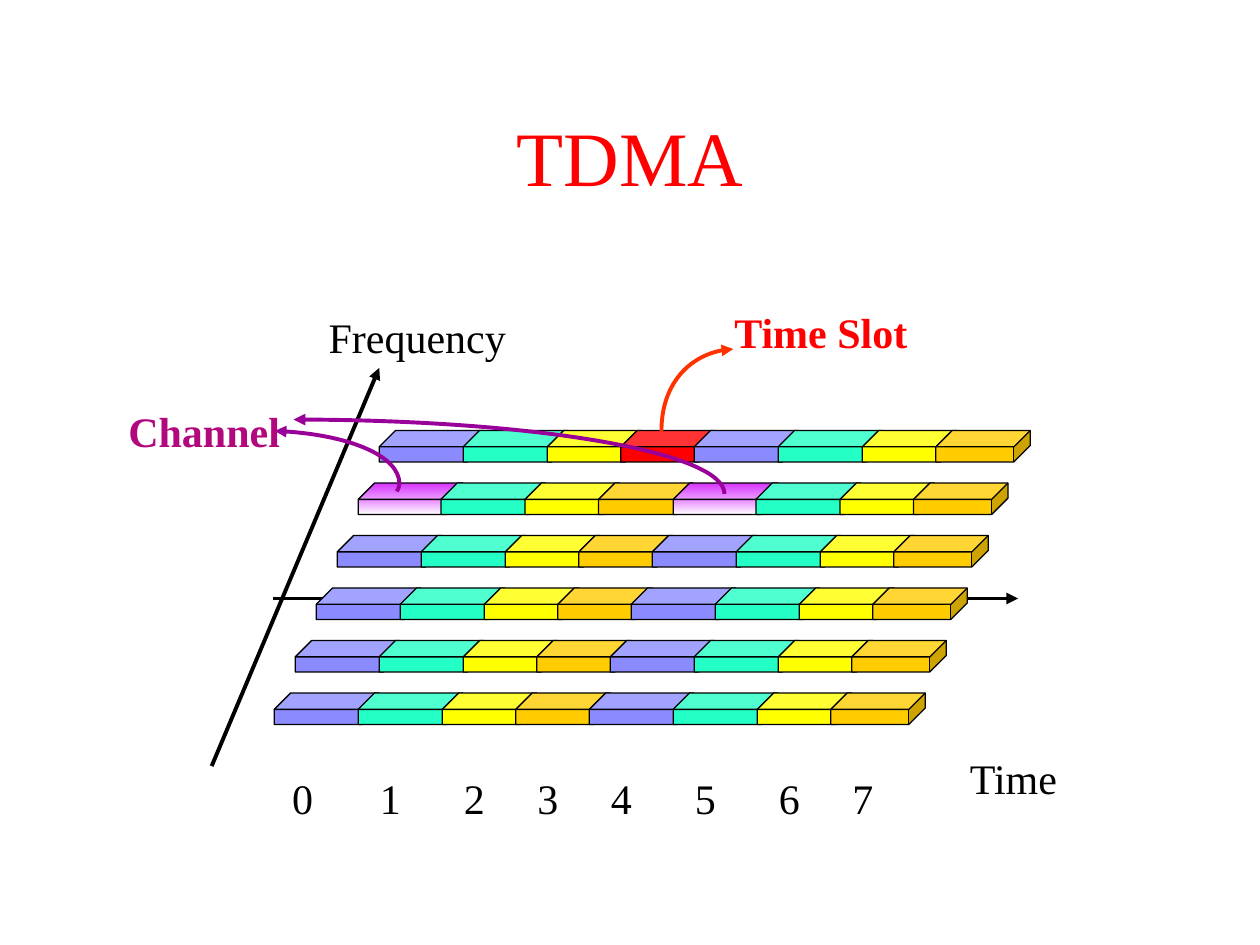
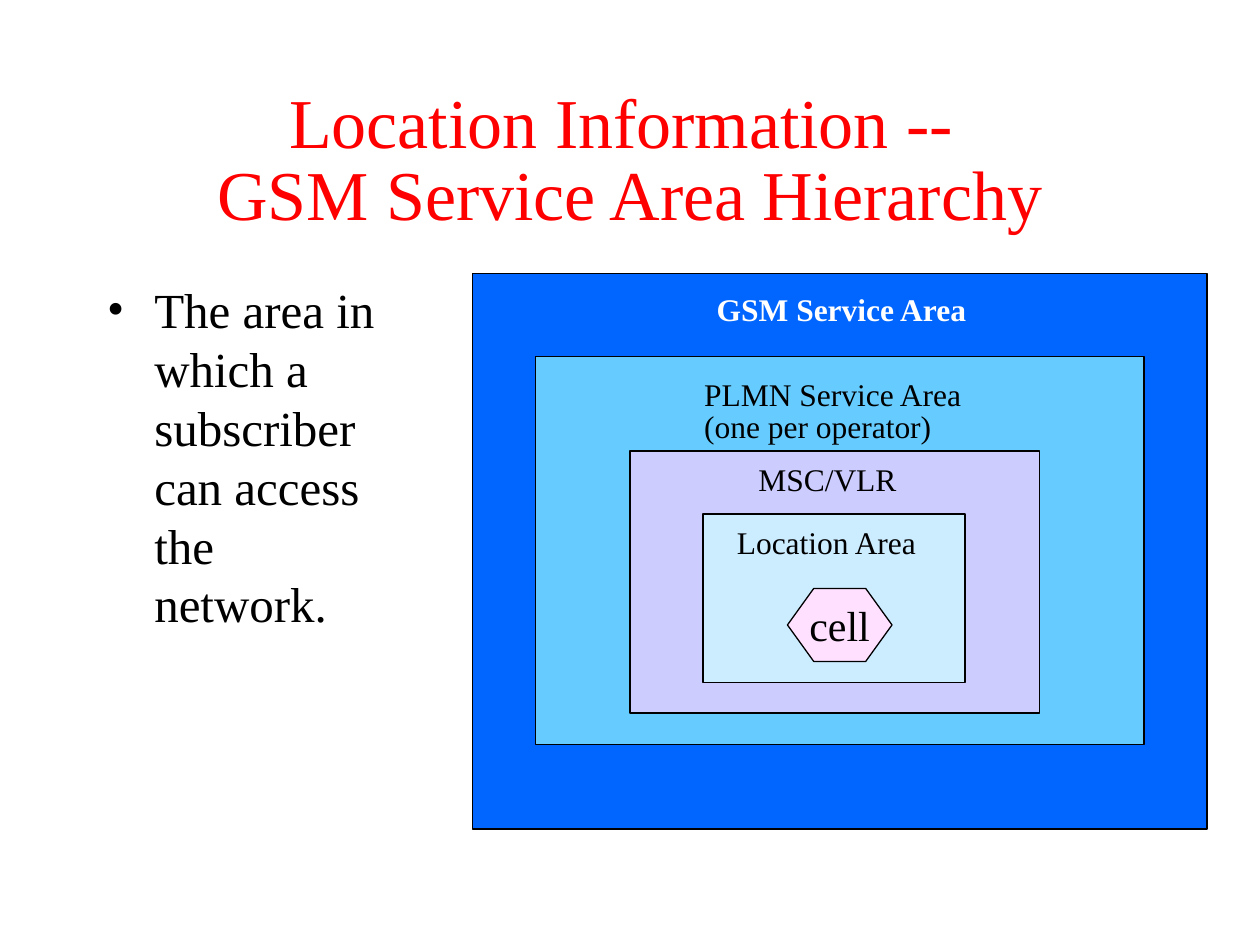
from itertools import accumulate

from lxml import etree
from pptx import Presentation
from pptx import util as u
from pptx.dml.color import RGBColor
from pptx.enum import shapes, text
from pptx.oxml import ns

FONT = "Times New Roman"
HEX = {
    "black": "000000", "white": "FFFFFF", "red": "FF0000",
    "violet": "8B8BFF", "mint": "23FFC5", "yellow": "FFFF00", "amber": "FFCC00",
    "magenta": "CC00FF", "purple": "990099", "plum": "B1097D", "orange": "FF3300",
    "blue": "0066FF", "sky": "66CCFF", "lilac": "CCCCFF", "ice": "CCECFF",
    "pink": "FFE1FF",
}
COLOR = {name: RGBColor.from_string(value) for name, value in HEX.items()}


def write(frame, paragraphs, size, color="black", bold=False):
    """Add the paragraphs run by run; a newline inside one is a line break."""
    for number, wording in enumerate(paragraphs):
        paragraph = frame.add_paragraph() if number else frame.paragraphs[0]
        for row, line in enumerate(wording.split("\n")):
            if row:
                paragraph.add_line_break()
            run = paragraph.add_run()
            run.text = line
            run.font.name = FONT
            run.font.size = u.Pt(size)
            run.font.bold = bold
            run.font.color.rgb = COLOR[color]


def point_arrow(line_shape, color):
    """Colour a line, put an arrowhead at its end and take its shadow away."""
    line_shape.line.color.rgb = COLOR[color]
    line_shape.line.width = u.Pt(2.25)
    properties = line_shape.element.spPr
    outline = properties.find(ns.qn("a:ln"))
    etree.SubElement(outline, ns.qn("a:tailEnd"), type="triangle")
    etree.SubElement(properties, ns.qn("a:effectLst"))


deck = Presentation()
deck.slide_width, deck.slide_height = u.Inches(10), u.Inches(7.5)
tdma = deck.slides.add_slide(deck.slide_layouts[5])
hierarchy = deck.slides.add_slide(deck.slide_layouts[1])

# Titles
for slide, heading, size in [
    (tdma, "TDMA", 44),
    (hierarchy, "Location Information -- \nGSM Service Area Hierarchy", 40),
]:
    title = slide.shapes.title
    title.left, title.top = u.Inches(0.75), u.Inches(0.67)
    title.width, title.height = u.Inches(8.5), u.Inches(1.25)
    title.text_frame.auto_size = text.MSO_AUTO_SIZE.NONE
    title.text_frame.vertical_anchor = text.MSO_ANCHOR.MIDDLE
    write(title.text_frame, [heading], size, "red")
    paragraph = title.text_frame.paragraphs[0]
    paragraph.alignment = text.PP_ALIGN.CENTER
    paragraph.line_spacing = 0.85

# TDMA: time and frequency axes
for ends in [(2.17, 4.75, 8.08, 4.75), (1.68, 6.08, 3.01, 2.92)]:
    axis = tdma.shapes.add_connector(
        shapes.MSO_CONNECTOR.STRAIGHT, *[u.Inches(end) for end in ends])
    point_arrow(axis, "black")

# TDMA: six carriers, each cut into eight time slots
SLOT_COLORS = ["violet", "mint", "yellow", "amber"] * 2
SLOT_STEPS = [8 / 12, 8 / 12, 7 / 12, 7 / 12] * 2
slot_offsets = [0, *accumulate(SLOT_STEPS[:-1])]
marked_slots = {(0, 3): "red", (1, 0): "magenta", (1, 4): "magenta"}
for carrier in range(6):
    for slot, offset in enumerate(slot_offsets):
        color = marked_slots.get((carrier, slot), SLOT_COLORS[slot])
        nudge = -0.01 if carrier == 1 and color != "magenta" else 0
        block = tdma.shapes.add_shape(
            shapes.MSO_SHAPE.CUBE,
            u.Inches(3.01 - carrier / 6 + offset + nudge),
            u.Inches((41 + carrier * 5) / 12),
            u.Inches(0.83 if slot % 4 < 2 else 0.75), u.Inches(0.25))
        block.adjustments[0] = 0.52
        block.shadow.inherit = False
        block.line.color.rgb = COLOR["black"]
        block.line.width = u.Pt(0.75)
        if color == "magenta":
            block.fill.gradient()
            block.fill.gradient_angle = 270
            for stop, shade, place in zip(
                    block.fill.gradient_stops, ["magenta", "white"], [0, 1]):
                stop.color.rgb = COLOR[shade]
                stop.position = place
        else:
            block.fill.solid()
            block.fill.fore_color.rgb = COLOR[color]

# TDMA: curved arrows, each a start point followed by Bézier triples
for color, start, *curve in [
    ("purple", (3.15, 3.9), (3.16, 3.88), (3.17, 3.86), (3.17, 3.84),
     (3.17, 3.62), (2.74, 3.44), (2.18, 3.42)),
    ("orange", (5.25, 3.42), (5.25, 3.06), (5.5, 2.78), (5.82, 2.77)),
    ("purple", (5.75, 3.92), (5.75, 3.59), (4.22, 3.33), (2.33, 3.33)),
]:
    builder = tdma.shapes.build_freeform(*[u.Inches(value) for value in start])
    builder.add_line_segments(
        [(u.Inches(x), u.Inches(y)) for x, y in curve], close=False)
    pointer = builder.convert_to_shape()
    segments = list(pointer.element.iter(ns.qn("a:lnTo")))
    for first in range(0, len(segments), 3):
        bezier = etree.Element(ns.qn("a:cubicBezTo"))
        segments[first].addprevious(bezier)
        for segment in segments[first:first + 3]:
            bezier.append(segment[0])
            segment.getparent().remove(segment)
    pointer.fill.background()
    point_arrow(pointer, color)

# Hierarchy: nested areas
for color, left, top, width, height in [
    ("blue", 3.75, 2.17, 5.83, 4.41),
    ("sky", 4.25, 2.83, 4.83, 3.08),
    ("lilac", 5, 3.58, 3.25, 2.08),
    ("ice", 5.58, 4.08, 2.08, 1.34),
    ("pink", 6.25, 4.67, 0.83, 0.58),
]:
    is_cell = color == "pink"
    area = hierarchy.shapes.add_shape(
        shapes.MSO_SHAPE.HEXAGON if is_cell else shapes.MSO_SHAPE.RECTANGLE,
        u.Inches(left), u.Inches(top), u.Inches(width), u.Inches(height))
    area.shadow.inherit = False
    area.fill.solid()
    area.fill.fore_color.rgb = COLOR[color]
    area.line.color.rgb = COLOR["black"]
    area.line.width = u.Pt(0.75)
    if is_cell:
        area.adjustments[0] = 0.36
        area.text_frame.word_wrap = False
        area.text_frame.vertical_anchor = text.MSO_ANCHOR.MIDDLE
        write(area.text_frame, ["cell"], 24)
        area.text_frame.paragraphs[0].alignment = text.PP_ALIGN.CENTER

# Labels of both slides
slot_numbers = [
    (tdma, [str(slot)], 2.25 + offset if slot else 2.22, 6.08, 0.36, 0.5, 24, "black", False)
    for slot, offset in enumerate(slot_offsets)
]
for slide, lines, left, top, width, height, size, color, bold in [
    (tdma, ["Time"], 7.6, 5.92, 0.9, 0.5, 24, "black", False),
    (tdma, ["Frequency"], 2.51, 2.42, 1.63, 0.5, 24, "black", False),
    *slot_numbers,
    (tdma, ["Channel"], 0.92, 3.17, 1.43, 0.5, 24, "plum", True),
    (tdma, ["Time Slot"], 5.73, 2.38, 1.59, 0.5, 24, "red", True),
    (hierarchy, ["Location Area"], 5.75, 4.1, 1.63, 0.4, 18, "black", False),
    (hierarchy, ["MSC/VLR"], 5.92, 3.6, 1.3, 0.4, 18, "black", False),
    (hierarchy, ["PLMN Service Area", "(one per operator)"],
     5.49, 2.97, 2.25, 0.61, 18, "black", False),
    (hierarchy, ["GSM Service Area"], 5.59, 2.25, 2.2, 0.4, 18, "white", True),
]:
    label = slide.shapes.add_textbox(
        u.Inches(left), u.Inches(top), u.Inches(width), u.Inches(height))
    label.text_frame.word_wrap = False
    label.text_frame.auto_size = text.MSO_AUTO_SIZE.SHAPE_TO_FIT_TEXT
    write(label.text_frame, lines, size, color, bold)
    if len(lines) > 1:
        for paragraph in label.text_frame.paragraphs:
            paragraph.line_spacing = 0.85

# Hierarchy: definition
definition = hierarchy.placeholders[1]
definition.left, definition.top = u.Inches(0.75), u.Inches(2.17)
definition.width, definition.height = u.Inches(2.33), u.Inches(4.5)
definition.text_frame.auto_size = text.MSO_AUTO_SIZE.NONE
bullet = definition.text_frame.paragraphs[0]
bullet_format = bullet._p.get_or_add_pPr()
bullet_format.set("marL", str(u.Pt(27)))
bullet_format.set("indent", str(u.Pt(-27)))
bullet_color = etree.SubElement(bullet_format, ns.qn("a:buClr"))
etree.SubElement(bullet_color, ns.qn("a:srgbClr"), val=HEX["black"])
etree.SubElement(bullet_format, ns.qn("a:buFont"), typeface=FONT)
etree.SubElement(bullet_format, ns.qn("a:buChar"), char="•")
bullet.space_before = u.Pt(0)
write(definition.text_frame,
      ["The area in which a subscriber can access the network."], 28)

deck.save("out.pptx")
